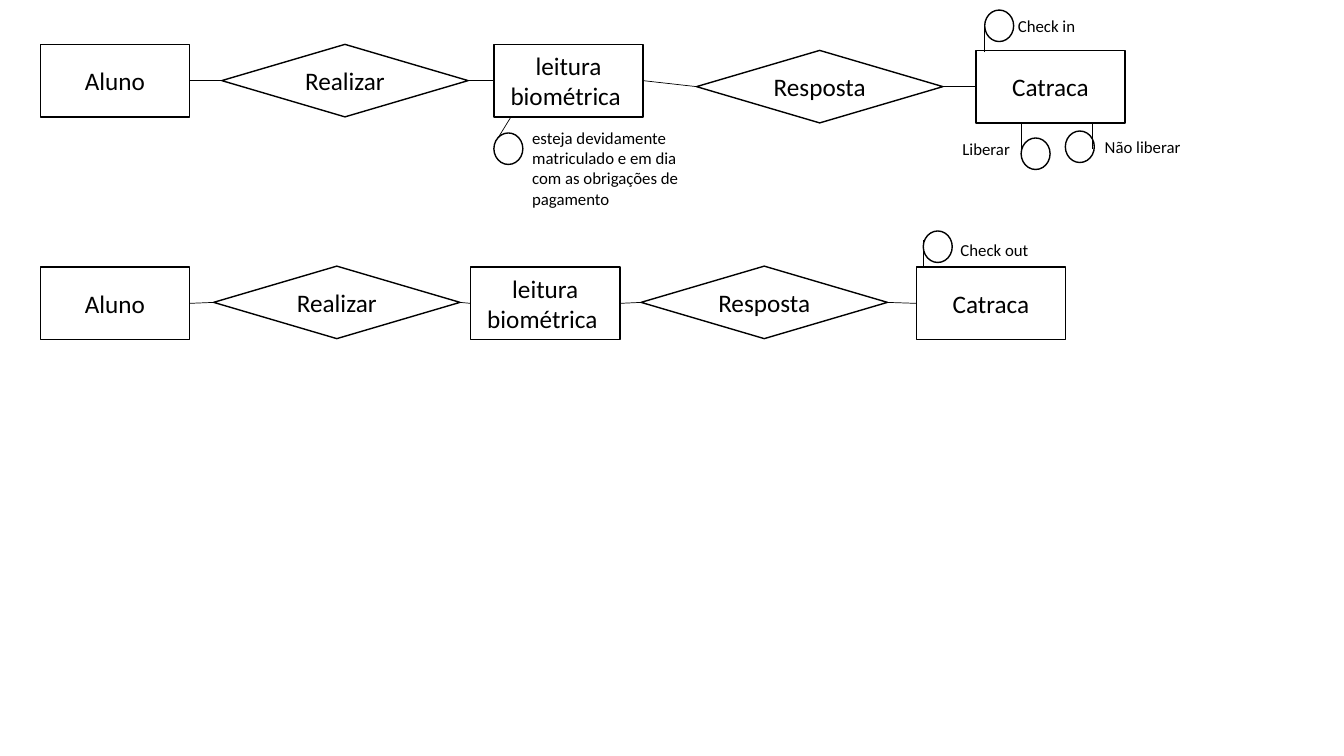
from lxml.etree import SubElement
from pptx import Presentation
from pptx.dml.color import RGBColor
from pptx.enum.shapes import MSO_CONNECTOR as Link, MSO_SHAPE as Form
from pptx.enum.text import MSO_ANCHOR as Anchor, MSO_AUTO_SIZE as Fit, PP_ALIGN as Align
from pptx.oxml.ns import qn
from pptx.util import Pt

STEPS = ["Aluno", "Realizar", "leitura biométrica ", "Resposta", "Catraca"]
CHECK_IN = [(28.8, 31.7), (158.4, 31.7), (352.8, 31.7), (497.5, 36), (697, 36)]
CHECK_OUT = [(28.8, 190.8), (152.6, 190.1), (336.2, 190.8), (457.9, 190.1), (654.5, 190.8)]
CIRCLES = [(729.4, 98.6), (761, 93.6), (352.8, 95), (659.5, 165), (703.4, 7.2)]
LABELS = [
    ("esteja devidamente matriculado e em dia com as obrigações de pagamento",
     373, 87.8, 121, 65.5),
    ("Liberar", 680.4, 95.8, 49, 21.6),
    ("Não liberar", 782, 94.3, 121, 21.6),
    ("Check out", 679, 167.8, 76.3, 21.6),
    ("Check in", 720, 7.9, 76.3, 21.6),
]
STEMS = [
    (703.4, 37.4, 703.4, 18.7),
    (729.4, 106.6, 729.4, 87.8),
    (780.5, 106.6, 780.5, 87.8),
    (659.5, 190.8, 659.5, 171.4),
    (365, 83.5, 355.7, 98.6),
]


def colour(code):
    return RGBColor.from_string(code)


class Diagram:
    ink = "000000"
    paper = "FFFFFF"
    font = "Calibri"

    def __init__(self, page):
        self.shapes = page.shapes

    def set_text(self, frame, text, size, align):
        frame.text = text
        frame.word_wrap = True
        for para in frame.paragraphs:
            para.alignment = align
            for span in para.runs:
                span.font.name = self.font
                span.font.size = Pt(size)
                span.font.color.rgb = colour(self.ink)

    def outlined(self, form, left, top, width, height):
        shape = self.shapes.add_shape(form, Pt(left), Pt(top), Pt(width), Pt(height))
        shape.shadow.inherit = False
        shape.fill.solid()
        shape.fill.fore_color.rgb = colour(self.paper)
        shape.line.color.rgb = colour(self.ink)
        shape.line.width = Pt(1)
        return shape

    def step(self, form, text, left, top, width):
        shape = self.outlined(form, left, top, width, 51.8)
        self.set_text(shape.text_frame, text, 18, Align.CENTER)
        shape.text_frame.vertical_anchor = Anchor.MIDDLE
        return shape

    def circle(self, left, top):
        self.outlined(Form.OVAL, left, top, 20.7, 22.5)

    def label(self, text, left, top, width, height):
        box = self.shapes.add_textbox(Pt(left), Pt(top), Pt(width), Pt(height))
        self.set_text(box.text_frame, text, 12, Align.LEFT)
        box.text_frame.auto_size = Fit.SHAPE_TO_FIT_TEXT

    def line(self, left, top, right, bottom):
        line = self.shapes.add_connector(
            Link.STRAIGHT, Pt(left), Pt(top), Pt(right), Pt(bottom))
        line.line.color.rgb = colour(self.ink)
        line.line.width = Pt(0.5)
        SubElement(line._element.spPr, qn("a:effectLst"))
        return line

    def join(self, source, target):
        line = self.line(0, 0, 0, 0)
        line.begin_connect(source, 3)
        line.end_connect(target, 1)

    def flow(self, places):
        steps = []
        for index, (text, (left, top)) in enumerate(zip(STEPS, places)):
            form, width = [(Form.RECTANGLE, 106.6), (Form.FLOWCHART_DECISION, 176)][index % 2]
            steps.append(self.step(form, text, left, top, width))
        for source, target in zip(steps, steps[1:]):
            self.join(source, target)


def main():
    deck = Presentation()
    deck.slide_width = Pt(960)
    deck.slide_height = Pt(540)
    diagram = Diagram(deck.slides.add_slide(deck.slide_layouts[6]))
    diagram.flow(CHECK_IN)
    diagram.flow(CHECK_OUT)
    for place in CIRCLES:
        diagram.circle(*place)
    for label in LABELS:
        diagram.label(*label)
    for stem in STEMS:
        diagram.line(*stem)
    deck.save("out.pptx")


if __name__ == "__main__":
    main()
